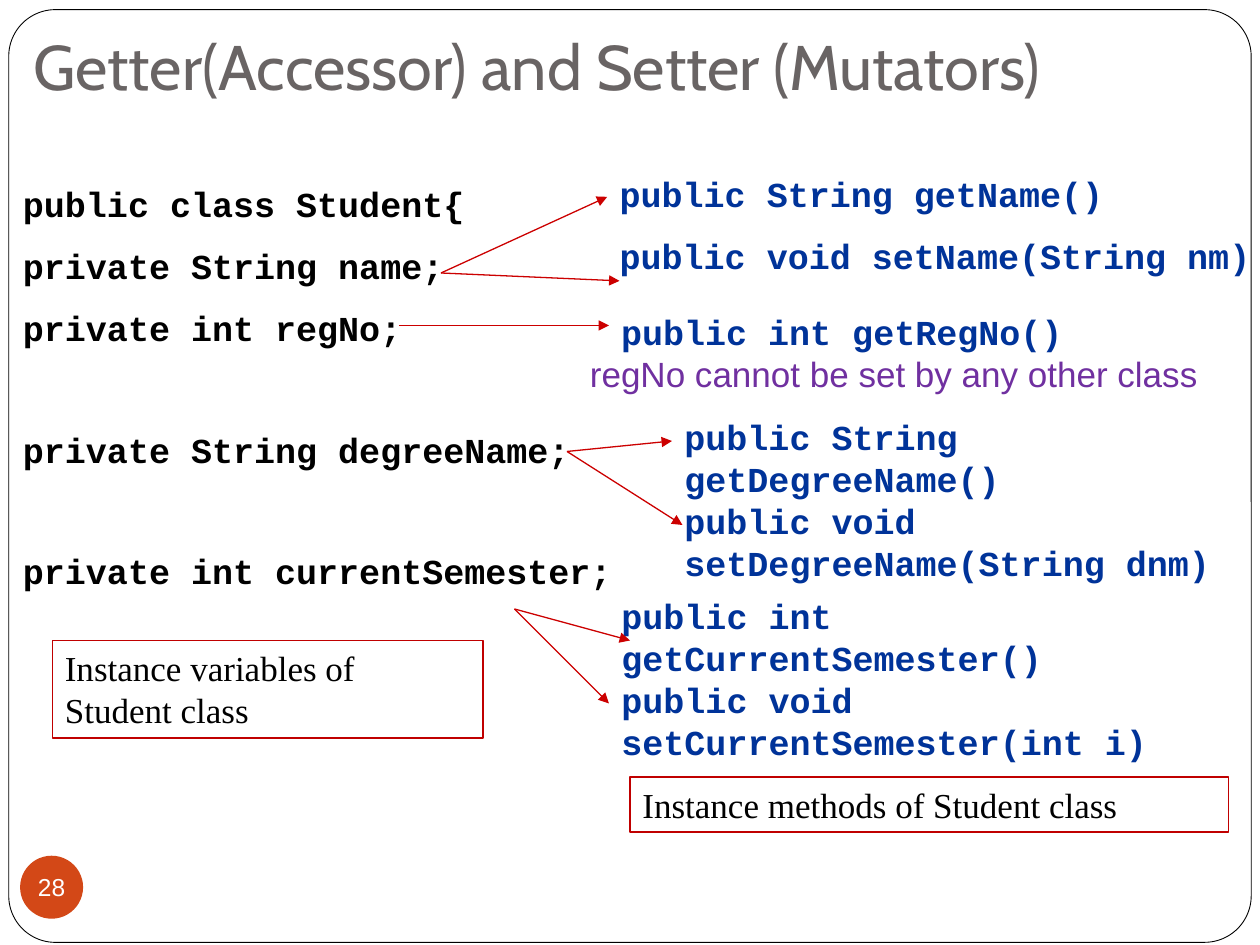
from pptx import Presentation
from pptx.dml.color import RGBColor
from pptx.enum.shapes import MSO_CONNECTOR, MSO_SHAPE
from pptx.enum.text import MSO_ANCHOR, PP_ALIGN
from pptx.oxml.ns import qn
from pptx.util import Pt
from lxml import etree

COLORS = {
    "paper": "FFFFFF", "ink": "000000", "title": "696464", "badge": "D34817",
    "method": "003399", "arrow": "CC0000", "border": "C00000", "remark": "7030A0",
}
CODE, SERIF, SANS, HEADING = "Courier New", "Times New Roman", "Arial", "Cabin"

TITLE = "Getter(Accessor) and Setter (Mutators)"
PAGE_NUMBER = "28"
REMARK = "regNo cannot be set by any other class"
LINE_GAP = 11.33
ROW_PITCH = 34

FIELDS = [
    ("public class Student{", 0),
    ("private String name;", 1),
    ("private int regNo;", 1),
    ("private String degreeName;", 2),
    ("private int currentSemester;", 2),
]
METHODS = [
    ((347, 95, 378, 67.5), LINE_GAP,
     ["public String getName()", "public void setName(String nm)"]),
    ((347.8, 174, 269, 31.5), 0, ["public int getRegNo()"]),
    ((384, 234, 336, 104.5), 0,
     ["public String getDegreeName()", "public void setDegreeName(String dnm)"]),
    ((348, 336, 336, 104.5), 0,
     ["public int getCurrentSemester()", "public void setCurrentSemester(int i)"]),
]
ARROWS = [
    ((252, 156), [(347, 112.5), (354, 160.5)]),
    ((228, 186), [(348, 186)]),
    ((324, 258), [(384, 252), (390, 300)]),
    ((294, 348), [(360, 366), (348, 402)]),
]
CAPTIONS = [
    ((30, 366, 246, 55.7), "Instance variables of Student class"),
    ((360, 444, 342, 31.5), "Instance methods of Student class"),
]


def rgb(name):
    return RGBColor.from_string(COLORS[name])


def write(shape, lines, font, color, size=20, bold=False, align=PP_ALIGN.LEFT):
    frame = shape.text_frame
    frame.word_wrap = True
    for index, (words, gap) in enumerate(lines):
        paragraph = frame.add_paragraph() if index else frame.paragraphs[0]
        paragraph.alignment = align
        if gap:
            paragraph.space_before = Pt(gap)
        run = paragraph.add_run()
        run.text = words
        run.font.name, run.font.size, run.font.bold = font, Pt(size), bold
        run.font.color.rgb = rgb(color)
    return frame


def add_text(slide, place, lines, font, color, **style):
    box = slide.shapes.add_textbox(*map(Pt, place))
    return write(box, lines, font, color, **style)


def add_panel(slide, kind, place, fill, border=None, width=1):
    panel = slide.shapes.add_shape(kind, *map(Pt, place))
    panel.shadow.inherit = False
    panel.fill.solid()
    panel.fill.fore_color.rgb = rgb(fill)
    if border:
        panel.line.color.rgb = rgb(border)
        panel.line.width = Pt(width)
    else:
        panel.line.fill.background()
    return panel


def add_arrow(slide, start, end):
    arrow = slide.shapes.add_connector(MSO_CONNECTOR.STRAIGHT, *map(Pt, start + end))
    arrow.line.color.rgb = rgb("arrow")
    arrow.line.width = Pt(0.75)
    etree.SubElement(arrow.line._get_or_add_ln(), qn("a:tailEnd"), type="triangle")
    etree.SubElement(arrow._element.spPr, qn("a:effectLst"))


def main():
    deck = Presentation()
    deck.slide_width, deck.slide_height = Pt(720), Pt(540)
    slide = deck.slides.add_slide(deck.slide_layouts[6])

    border = add_panel(slide, MSO_SHAPE.ROUNDED_RECTANGLE, (5, 5.5, 710, 533),
                       "paper", "ink", 0.5)
    border.adjustments[0] = 0.05

    heading = add_text(slide, (12, 0, 648, 66), [(TITLE, 0)], HEADING, "title", size=36)
    heading.vertical_anchor = MSO_ANCHOR.BOTTOM
    heading.margin_bottom = Pt(7.2)

    badge = add_panel(slide, MSO_SHAPE.OVAL, (11.5, 489, 36, 36), "badge")
    number = write(badge, [(PAGE_NUMBER, 0)], SANS, "paper", size=14, align=PP_ALIGN.CENTER)
    number.vertical_anchor = MSO_ANCHOR.MIDDLE
    number.word_wrap = False
    number.margin_left = number.margin_right = number.margin_top = number.margin_bottom = 0

    fields = [(words, LINE_GAP + (rows - 1) * ROW_PITCH if rows else 0)
              for words, rows in FIELDS]
    add_text(slide, (6, 101, 372, 250), fields, CODE, "ink", bold=True)

    for place, gap, signatures in METHODS:
        lines = [(words, gap if index else 0) for index, words in enumerate(signatures)]
        add_text(slide, place, lines, CODE, "method", bold=True)

    for start, ends in ARROWS:
        for end in ends:
            add_arrow(slide, start, end)

    for place, words in CAPTIONS:
        caption = add_panel(slide, MSO_SHAPE.RECTANGLE, place, "paper", "border")
        write(caption, [(words, 0)], SERIF, "ink").vertical_anchor = MSO_ANCHOR.TOP

    add_text(slide, (330, 198, 366, 31.5), [(REMARK, 0)], SANS, "remark")
    deck.save("out.pptx")


if __name__ == "__main__":
    main()
